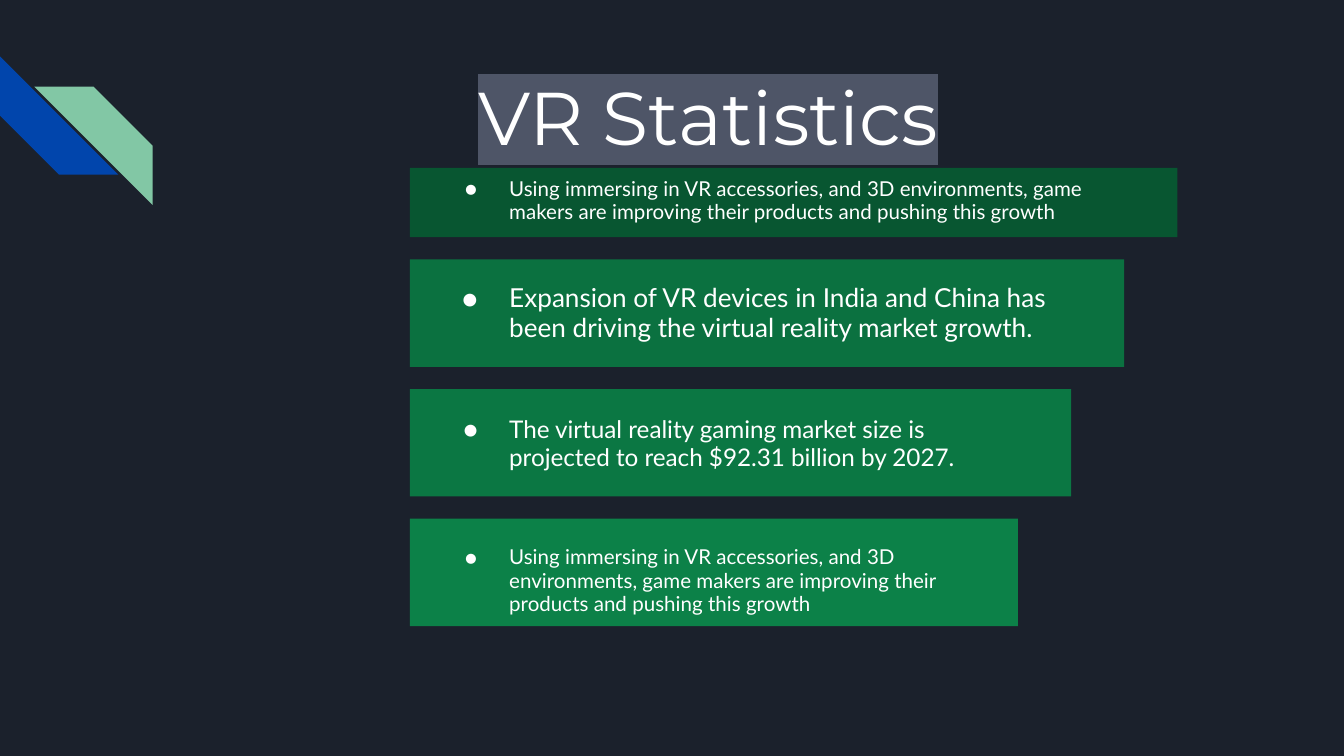
"""Build the VR statistics slide with stepped green bars."""
from dataclasses import dataclass

from lxml.etree import SubElement
from pptx import Presentation
from pptx.dml.color import RGBColor
from pptx.enum.shapes import MSO_SHAPE
from pptx.enum.text import MSO_ANCHOR, MSO_AUTO_SIZE, PP_ALIGN
from pptx.oxml import parse_xml
from pptx.oxml.ns import nsdecls, qn
from pptx.util import Pt

EMU_PER_PX = 4572
WHITE = "FFFFFF"
BODY_FONT = "Lato"
BAR_LEFT = 610
TEXT_LEFT = 638
GROWTH = (
    "Using immersing in VR accessories, and 3D environments, game makers "
    "are improving their products and pushing this growth"
)


@dataclass(frozen=True)
class Stripe:
    left: int
    top: int
    rotation: int
    color: str


@dataclass(frozen=True)
class Bar:
    top: int
    width: int
    height: int
    color: str
    text: str
    text_top: int
    text_width: int
    text_height: int
    size: int
    hanging: int


STRIPES = [Stripe(0, 84, 270, "0145AC"), Stripe(51, 129, 90, "82C7A5")]
BARS = [
    Bar(250, 1142, 103, "085631", GROWTH, 255, 1042, 88, 11, 66),
    Bar(386, 1063, 160, "0B7140",
        "Expansion of VR devices in India and China has been driving the "
        "virtual reality market growth.", 431, 956, 72, 14, 70),
    Bar(579, 984, 160, "0B7743",
        "The virtual reality gaming market size is projected to reach "
        "$92.31 billion by 2027.", 625, 842, 72, 13, 68),
    Bar(772, 905, 160, "0C8148", GROWTH, 803, 842, 124, 11, 66),
]


def px(length: int) -> int:
    """Turn px into EMU."""
    return length * EMU_PER_PX


def rgb(color: str) -> RGBColor:
    """Turn a hex string into a colour."""
    return RGBColor.from_string(color)


def place(shape, left: int, top: int, width: int, height: int) -> None:
    """Move and size a shape."""
    shape.left, shape.top = px(left), px(top)
    shape.width, shape.height = px(width), px(height)


def add_filled_shape(slide, kind, left: int, top: int, width: int, height: int, color: str):
    """Add a flat shape without outline."""
    shape = slide.shapes.add_shape(kind, px(left), px(top), px(width), px(height))
    shape.shadow.inherit = False
    shape.fill.solid()
    shape.fill.fore_color.rgb = rgb(color)
    shape.line.fill.background()
    return shape


def add_bullet(paragraph, hanging: int) -> None:
    """Give a paragraph a white round bullet with a hanging indent."""
    properties = paragraph._p.get_or_add_pPr()
    properties.set("marL", str(px(100)))
    properties.set("indent", str(px(-hanging)))
    bullet_color = SubElement(properties, qn("a:buClr"))
    SubElement(bullet_color, qn("a:srgbClr")).set("val", WHITE)
    SubElement(properties, qn("a:buFont")).set("typeface", BODY_FONT)
    SubElement(properties, qn("a:buChar")).set("char", "●")


def write_text(shape, text: str, *, font: str, size: int, anchor, align=PP_ALIGN.LEFT,
               margin: int = 10, spacing: float = 1.0, hanging: int = 0,
               highlight: str = "") -> None:
    """Write one formatted paragraph into a shape."""
    frame = shape.text_frame
    frame.word_wrap = True
    frame.auto_size = MSO_AUTO_SIZE.NONE
    frame.vertical_anchor = anchor
    frame.margin_left = frame.margin_right = px(20)
    frame.margin_top = frame.margin_bottom = px(margin)
    paragraph = frame.paragraphs[0]
    if hanging:
        add_bullet(paragraph, hanging)
    paragraph.alignment = align
    paragraph.line_spacing = spacing
    run = paragraph.add_run()
    run.text = text
    run.font.name = font
    run.font.size = Pt(size)
    run.font.color.rgb = rgb(WHITE)
    if highlight:
        run.font._element.find(qn("a:solidFill")).addnext(parse_xml(
            f'<a:highlight {nsdecls("a")}><a:srgbClr val="{highlight}"/></a:highlight>'))


def draw_stripe(slide, stripe: Stripe) -> None:
    """Draw a diagonal corner stripe."""
    shape = add_filled_shape(slide, MSO_SHAPE.DIAGONAL_STRIPE, stripe.left, stripe.top,
                             176, 176, stripe.color)
    shape.rotation = stripe.rotation


def draw_bar(slide, bar: Bar) -> None:
    """Draw a bar and its bulleted statement."""
    add_filled_shape(slide, MSO_SHAPE.RECTANGLE, BAR_LEFT, bar.top, bar.width,
                     bar.height, bar.color)
    box = slide.shapes.add_textbox(px(TEXT_LEFT), px(bar.text_top),
                                   px(bar.text_width), px(bar.text_height))
    write_text(box, bar.text, font=BODY_FONT, size=bar.size, anchor=MSO_ANCHOR.MIDDLE,
               spacing=0.95, hanging=bar.hanging)


def main() -> None:
    """Build and save the presentation."""
    presentation = Presentation()
    presentation.slide_width, presentation.slide_height = px(2000), px(1125)
    slide = presentation.slides.add_slide(presentation.slide_layouts[5])
    slide.background.fill.solid()
    slide.background.fill.fore_color.rgb = rgb("1B212C")
    for stripe in STRIPES:
        draw_stripe(slide, stripe)
    title = slide.shapes.title
    place(title, 284, 86, 1540, 200)
    write_text(title, "VR Statistics", font="Montserrat", size=40, anchor=MSO_ANCHOR.TOP,
               align=PP_ALIGN.CENTER, margin=20, highlight="4E5567")
    for bar in BARS:
        draw_bar(slide, bar)
    presentation.save("out.pptx")


if __name__ == "__main__":
    main()
